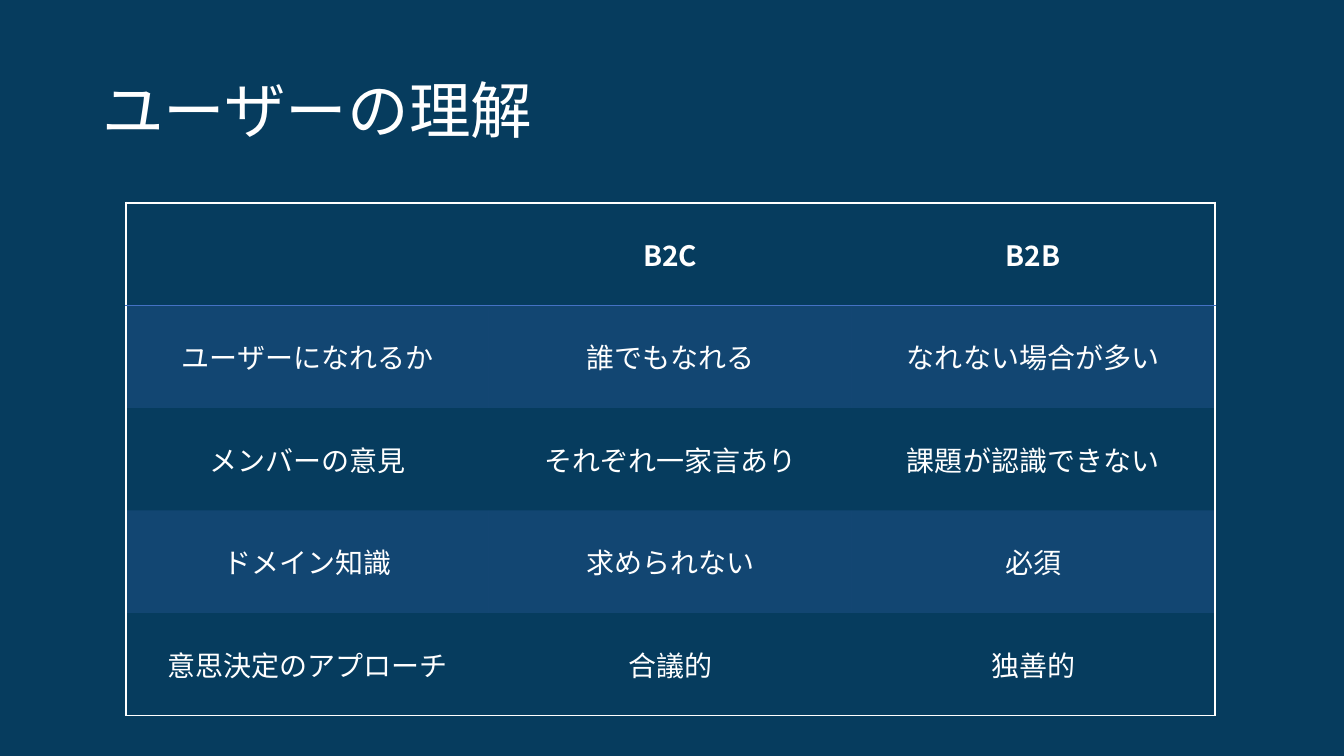
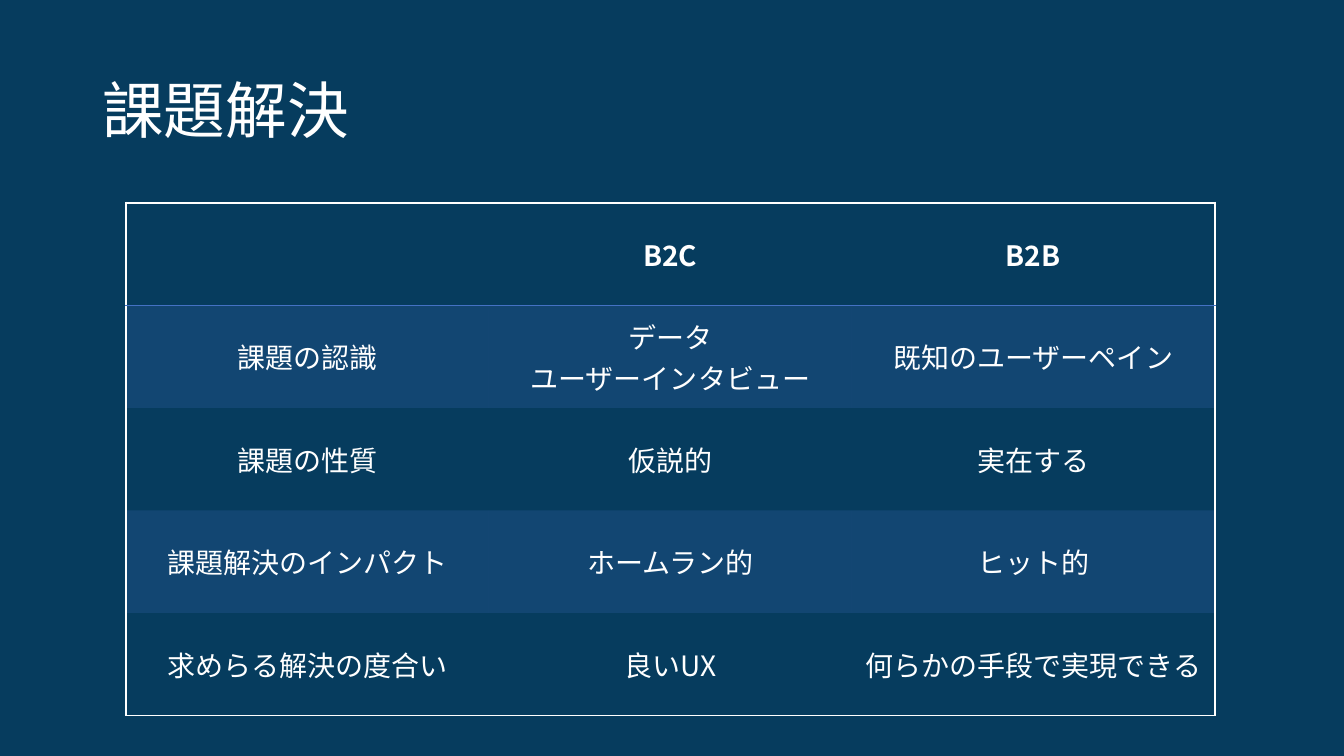
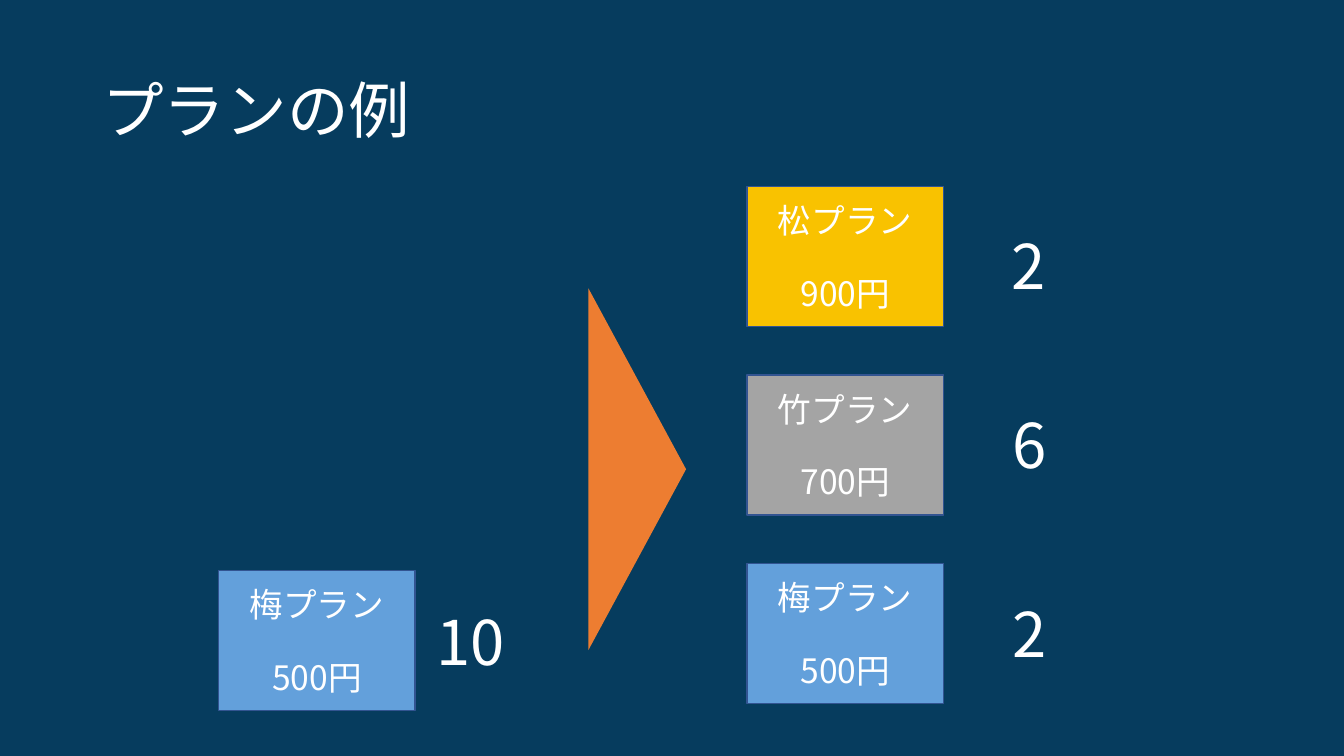
from dataclasses import dataclass

from lxml import etree
from pptx import Presentation
from pptx.dml.color import RGBColor
from pptx.enum.shapes import MSO_SHAPE
from pptx.enum.text import MSO_ANCHOR, MSO_AUTO_SIZE, PP_ALIGN
from pptx.oxml.ns import qn
from pptx.util import Pt

RECTANGLE = MSO_SHAPE.RECTANGLE
RIGHT_ARROW = MSO_SHAPE.RIGHT_ARROW
MIDDLE = MSO_ANCHOR.MIDDLE
GROW = MSO_AUTO_SIZE.SHAPE_TO_FIT_TEXT
LEFT = PP_ALIGN.LEFT
CENTER = PP_ALIGN.CENTER

FONT = "Noto Sans CJK JP"
COLORS = {
    "background": "063C5E",
    "white": "FFFFFF",
    "accent": "4472C4",
    "outline": "325491",
    "plum": "63A0DB",
    "bamboo": "A4A4A4",
    "pine": "F9C200",
    "arrow": "ED7D31",
}
NO_TABLE_STYLE = "{2D5ABB26-0587-4C30-8999-92F81FD0307C}"
BAND_ALPHA = "20000"
COLUMN_WIDTH = 259.2
ROW_HEIGHT = 73.3
PLAN_LEFT = 533.5
PLAN_TOP = 133.2
PLAN_PITCH = 134.6
PLAN_WIDTH = 140.4
PLAN_HEIGHT = 100
PRICE_GAP = 23


@dataclass(frozen=True)
class Comparison:
    title: str
    rows: list[tuple[str, str, str]]


@dataclass(frozen=True)
class Plan:
    name: str
    price: str
    color: str
    left: float
    top: float


@dataclass(frozen=True)
class Count:
    text: str
    left: float
    top: float
    width: float


HEADER = ("", "B2C", "B2B")
COMPARISONS = [
    Comparison("ユーザーの理解", [
        ("ユーザーになれるか", "誰でもなれる", "なれない場合が多い"),
        ("メンバーの意見", "それぞれ一家言あり", "課題が認識できない"),
        ("ドメイン知識", "求められない", "必須"),
        ("意思決定のアプローチ", "合議的", "独善的"),
    ]),
    Comparison("課題解決", [
        ("課題の認識", "データ\nユーザーインタビュー", "既知のユーザーペイン"),
        ("課題の性質", "仮説的", "実在する"),
        ("課題解決のインパクト", "ホームラン的", "ヒット的"),
        ("求めらる解決の度合い", "良いUX", "何らかの手段で実現できる"),
    ]),
]
PLANS = [
    Plan("梅プラン", "500円", "plum", 156.2, 407.5),
    *(
        Plan(name, price, color, PLAN_LEFT, PLAN_TOP + index * PLAN_PITCH)
        for index, (name, price, color) in enumerate([
            ("松プラン", "900円", "pine"),
            ("竹プラン", "700円", "bamboo"),
            ("梅プラン", "500円", "plum"),
        ])
    ),
]
COUNTS = [
    Count("10", 304.6, 427.7, 72.7),
    Count("2", 715.7, 159.1, 43.9),
    Count("6", 716.4, 287.3, 43.9),
    Count("2", 716.4, 421.9, 43.9),
]


def color(name: str) -> RGBColor:
    return RGBColor.from_string(COLORS[name])


def write(text_frame, text: str, size: float, align=LEFT, bold: bool = False) -> None:
    text_frame.text = text
    for paragraph in text_frame.paragraphs:
        paragraph.alignment = align
        font = paragraph.font
        font.size = Pt(size)
        font.bold = bold
        font.color.rgb = color("white")
        font.name = FONT
        properties = paragraph._p.get_or_add_pPr().find(qn("a:defRPr"))
        etree.SubElement(properties, qn("a:ea"), typeface=FONT)


def add_slide(presentation, title: str):
    slide = presentation.slides.add_slide(presentation.slide_layouts[6])
    fill = slide.background.fill
    fill.solid()
    fill.fore_color.rgb = color("background")
    box = slide.shapes.add_textbox(Pt(66), Pt(28.8), Pt(828), Pt(104.4))
    text_frame = box.text_frame
    text_frame.word_wrap = True
    text_frame.vertical_anchor = MIDDLE
    write(text_frame, title, 44)
    text_frame.paragraphs[0].line_spacing = 0.9
    return slide


def set_borders(cell, borders: dict[str, tuple[str, float]]) -> None:
    properties = cell._tc.get_or_add_tcPr()
    sides = [side for side in ("lnL", "lnR", "lnT", "lnB") if side in borders]
    for position, side in enumerate(sides):
        name, width = borders[side]
        line = etree.Element(qn(f"a:{side}"), w=str(Pt(width)))
        fill = etree.SubElement(line, qn("a:solidFill"))
        etree.SubElement(fill, qn("a:srgbClr"), val=COLORS[name])
        properties.insert(position, line)


def fill_cell(cell, banded: bool) -> None:
    if not banded:
        cell.fill.background()
        return
    cell.fill.solid()
    cell.fill.fore_color.rgb = color("accent")
    value = next(cell._tc.tcPr.iter(qn("a:srgbClr")))
    etree.SubElement(value, qn("a:alpha"), val=BAND_ALPHA)


def add_comparison(presentation, comparison: Comparison) -> None:
    slide = add_slide(presentation, comparison.title)
    rows = [HEADER, *comparison.rows]
    last_row, last_column = len(rows) - 1, len(HEADER) - 1
    table = slide.shapes.add_table(
        len(rows), len(HEADER), Pt(90), Pt(144.7),
        Pt(COLUMN_WIDTH * len(HEADER)), Pt(ROW_HEIGHT * len(rows)),
    ).table
    table.horz_banding = False
    next(table._tbl.iter(qn("a:tableStyleId"))).text = NO_TABLE_STYLE
    for column in table.columns:
        column.width = Pt(COLUMN_WIDTH)
    frame = ("white", 1.5)
    for row_index, texts in enumerate(rows):
        table.rows[row_index].height = Pt(ROW_HEIGHT)
        for column_index, text in enumerate(texts):
            cell = table.cell(row_index, column_index)
            cell.vertical_anchor = MIDDLE
            write(cell.text_frame, text, 20, CENTER, bold=row_index == 0)
            fill_cell(cell, row_index % 2 == 1)
            borders = {}
            if column_index == 0:
                borders["lnL"] = frame
            if column_index == last_column:
                borders["lnR"] = frame
            if row_index == 0:
                borders["lnT"] = frame
                borders["lnB"] = ("accent", 1)
            if row_index == last_row:
                borders["lnB"] = frame
            set_borders(cell, borders)


def add_filled_shape(slide, kind, left: float, top: float, width: float, height: float, name: str):
    shape = slide.shapes.add_shape(kind, Pt(left), Pt(top), Pt(width), Pt(height))
    shape.shadow.inherit = False
    shape.fill.solid()
    shape.fill.fore_color.rgb = color(name)
    return shape


def add_plan(slide, plan: Plan) -> None:
    shape = add_filled_shape(
        slide, RECTANGLE, plan.left, plan.top, PLAN_WIDTH, PLAN_HEIGHT, plan.color
    )
    shape.line.color.rgb = color("outline")
    shape.line.width = Pt(1)
    text_frame = shape.text_frame
    text_frame.vertical_anchor = MIDDLE
    write(text_frame, f"{plan.name}\n{plan.price}", 24, CENTER)
    text_frame.paragraphs[1].space_before = Pt(PRICE_GAP)


def add_count(slide, count: Count) -> None:
    box = slide.shapes.add_textbox(Pt(count.left), Pt(count.top), Pt(count.width), Pt(60.5))
    box.text_frame.word_wrap = False
    box.text_frame.auto_size = GROW
    write(box.text_frame, count.text, 44)


def add_plan_slide(presentation) -> None:
    slide = add_slide(presentation, "プランの例")
    for plan in PLANS:
        add_plan(slide, plan)
    arrow = add_filled_shape(slide, RIGHT_ARROW, 420.3, 205.9, 69.8, 258.5, "arrow")
    arrow.adjustments[1] = 1
    arrow.line.fill.background()
    for count in COUNTS:
        add_count(slide, count)


def main() -> None:
    presentation = Presentation()
    presentation.slide_width = Pt(960)
    presentation.slide_height = Pt(540)
    for comparison in COMPARISONS:
        add_comparison(presentation, comparison)
    add_plan_slide(presentation)
    presentation.save("out.pptx")


if __name__ == "__main__":
    main()
